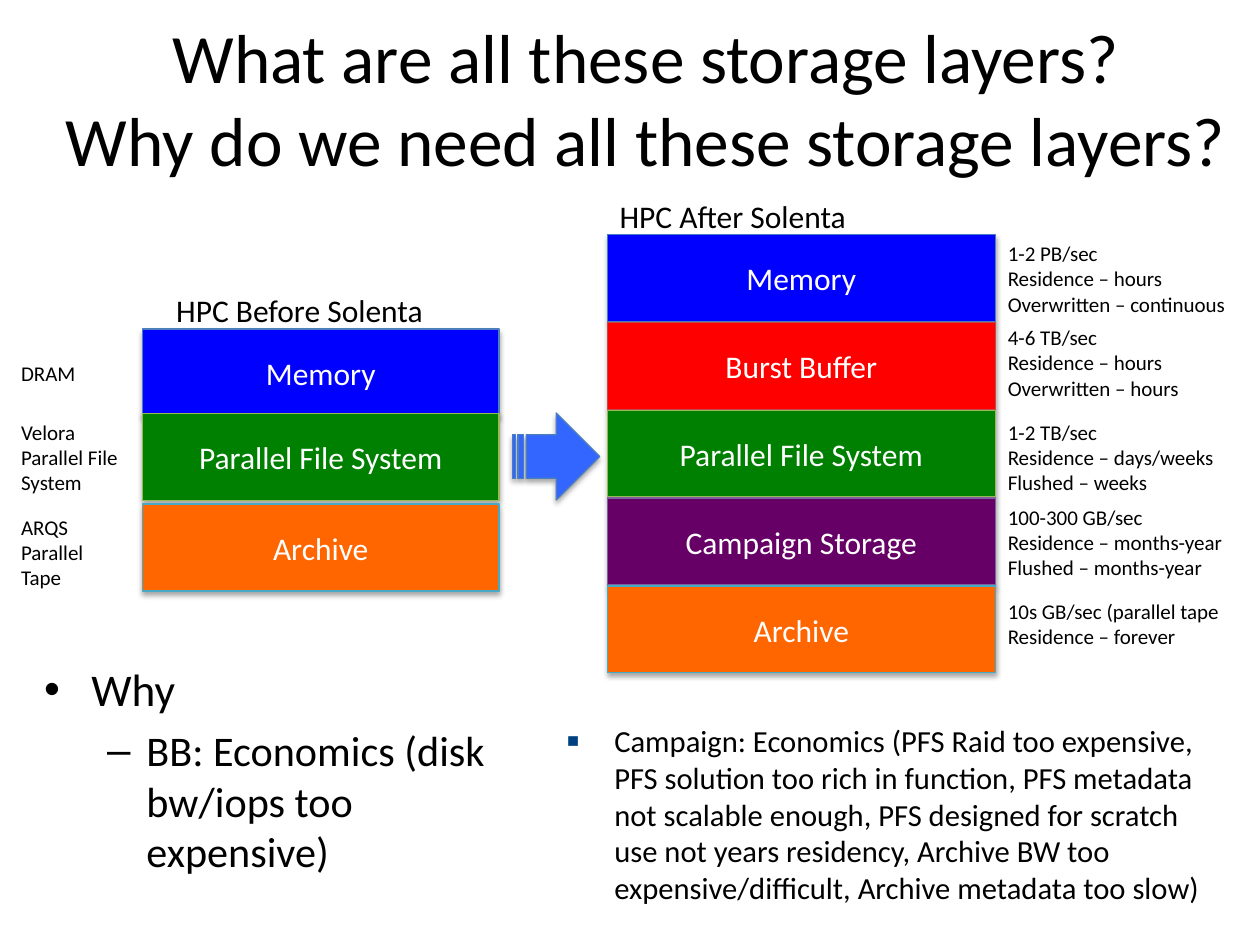
from dataclasses import dataclass

from lxml import etree
from pptx import Presentation
from pptx.dml.color import RGBColor
from pptx.enum import shapes, text
from pptx.oxml import ns
from pptx.util import Pt


@dataclass(frozen=True)
class Theme:
    font: str = "Calibri"
    ink: str = "000000"
    paper: str = "FFFFFF"
    bullet: str = "004080"
    arrow: str = "3366FF"
    arrow_edge: str = "4B7EBC"
    title: float = 39.6
    lead: float = 25.9
    sub: float = 24.1
    layer: float = 18
    detail: float = 17.5
    note: float = 12


T = Theme()
LAYERS = {
    "Memory": ("0000FF", "4B7EBC"),
    "Burst Buffer": ("FF0000", "BF4C48"),
    "Parallel File System": ("008000", "98B955"),
    "Campaign Storage": ("660066", "7D60A0"),
    "Archive": ("FF6600", "46AAC5"),
}
LAYER_H = 49.7


def rgb(value):
    return RGBColor.from_string(value)


def child(parent, tag, **attrs):
    return etree.SubElement(parent, ns.qn(tag), {k: str(v) for k, v in attrs.items()})


def place(sp, x, y, w, h):
    sp.left, sp.top, sp.width, sp.height = Pt(x), Pt(y), Pt(w), Pt(h)


def write(p, content, size, color=T.ink, align=None, level=0, indent=None, before=None):
    p.text = content
    p.level = level
    p.alignment = align
    if before is not None:
        p.space_before = Pt(before)
    if indent:
        pPr = p._p.get_or_add_pPr()
        pPr.set("marL", str(Pt(indent[0])))
        pPr.set("indent", str(Pt(indent[1])))
    for r in p.runs:
        r.font.name, r.font.size = T.font, Pt(size)
        r.font.color.rgb = rgb(color)


def add_label(slide, content, x, y, w, h, size):
    sp = slide.shapes.add_textbox(Pt(x), Pt(y), Pt(w), Pt(h))
    sp.text_frame.word_wrap = True
    write(sp.text_frame.paragraphs[0], content, size)


def add_block(parent, kind, x, y, w, h, fill, edge):
    sp = parent.add_shape(kind, Pt(x), Pt(y), Pt(w), Pt(h))
    sp.fill.solid()
    sp.fill.fore_color.rgb = rgb(fill)
    sp.line.color.rgb = rgb(edge)
    sp.line.width = Pt(0.75)
    sp.shadow.inherit = False
    effects = sp._element.spPr.find(ns.qn("a:effectLst"))
    shadow = child(effects, "a:outerShdw", blurRad=Pt(3.1), dist=Pt(1.8),
                   dir=5400000, rotWithShape=0)
    child(child(shadow, "a:srgbClr", val="000000"), "a:alpha", val=35000)
    return sp


def add_stack(slide, x, y, w, heading, heading_dx, layers, note_x, note_w):
    add_label(slide, heading, x + heading_dx, y - 25.2, 192, 32, T.layer)
    group = slide.shapes.add_group_shape()
    for name, dy, note, note_dy in layers:
        sp = add_block(group.shapes, shapes.MSO_SHAPE.RECTANGLE,
                       x, y + dy, w, LAYER_H, *LAYERS[name])
        sp.text_frame.vertical_anchor = text.MSO_ANCHOR.MIDDLE
        write(sp.text_frame.paragraphs[0], name, T.layer, T.paper, text.PP_ALIGN.CENTER)
        add_label(slide, note, x + note_x, y + note_dy, note_w, 51, T.note)


def add_title(slide, x, y, w, h):
    sp = slide.shapes.title
    place(sp, x, y, w, h)
    tf = sp.text_frame
    tf.auto_size = text.MSO_AUTO_SIZE.NONE
    tf.vertical_anchor = text.MSO_ANCHOR.MIDDLE
    write(tf.paragraphs[0], "What are all these storage layers?\v"
          "Why do we need all these storage layers?", T.title, align=text.PP_ALIGN.CENTER)


def add_reasons(slide, x, y, w, h):
    sp = slide.placeholders[1]
    place(sp, x, y, w, h)
    tf = sp.text_frame
    tf.auto_size = text.MSO_AUTO_SIZE.NONE
    write(tf.paragraphs[0], "Why", T.lead, indent=(27, -27))
    write(tf.add_paragraph(), "BB: Economics (disk bw/iops too expensive)", T.sub,
          level=1, indent=(58.5, -22.5))


def add_campaign(slide, x, y, w, h):
    sp = slide.placeholders[2]
    place(sp, x, y, w, h)
    tf = sp.text_frame
    tf.auto_size = text.MSO_AUTO_SIZE.NONE
    p = tf.paragraphs[0]
    write(p, "Campaign: Economics (PFS Raid too expensive, PFS solution too rich in "
          "function, PFS metadata not scalable enough, PFS designed for scratch use not "
          "years residency, Archive BW too expensive/difficult, Archive metadata too slow)",
          T.detail, indent=(27, -27), before=8.75)
    pPr = p._p.get_or_add_pPr()
    child(child(pPr, "a:buClr"), "a:srgbClr", val=T.bullet)
    child(pPr, "a:buSzPct", val=65000)
    child(pPr, "a:buChar", char="■")


def build_slide(prs):
    slide = prs.slides.add_slide(prs.slide_layouts[3])
    add_title(slide, 18, 10.8, 702, 90)
    add_reasons(slide, 18, 374.4, 288, 121.7)
    add_campaign(slide, 316.8, 409, 391, 131)
    add_stack(slide, 347, 134, 221.8, "HPC After Solenta", 0, [
        ("Memory", 0, "1-2 PB/sec\vResidence – hours\vOverwritten – continuous", 0),
        ("Burst Buffer", 50.2, "4-6 TB/sec\vResidence – hours\vOverwritten – hours", 48),
        ("Parallel File System", 100.4,
         "1-2 TB/sec\vResidence – days/weeks\vFlushed – weeks", 102),
        ("Campaign Storage", 150.6,
         "100-300 GB/sec\vResidence – months-year\vFlushed – months-year", 150.5),
        ("Archive", 200.8, "10s GB/sec (parallel tape\vResidence – forever", 204.5),
    ], 221.8, 164)
    add_block(slide.shapes, shapes.MSO_SHAPE.STRIPED_RIGHT_ARROW,
              293, 236, LAYER_H, LAYER_H, T.arrow, T.arrow_edge)
    add_stack(slide, 81.4, 188, 203.8, "HPC Before Solenta", 12.2, [
        ("Memory", 0, "DRAM", 14.3),
        ("Parallel File System", 48.2, "Velora\vParallel File\vSystem", 48.2),
        ("Archive", 100, "ARQS Parallel\vTape", 102.2),
    ], -76.4, 78)


prs = Presentation()
prs.slide_width, prs.slide_height = Pt(720), Pt(540)
build_slide(prs)
for sp in list(prs.slides[0].placeholders):
    if not sp.text_frame.text:
        sp._element.getparent().remove(sp._element)
prs.save("out.pptx")
